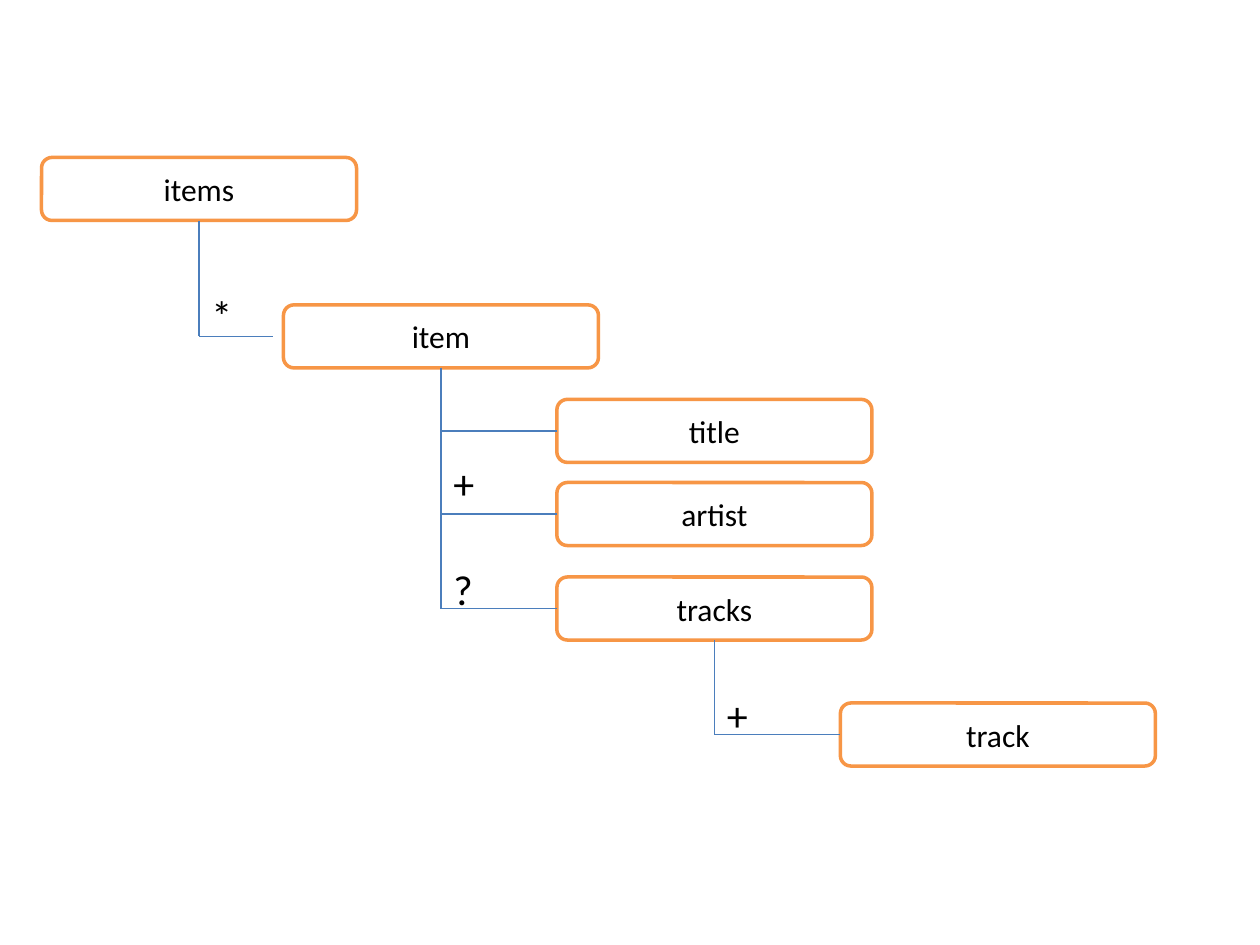
from pptx import Presentation
from pptx.dml.color import RGBColor
from pptx.enum.shapes import MSO_CONNECTOR as CONNECTOR, MSO_SHAPE as SHAPE
from pptx.enum.text import MSO_ANCHOR as ANCHOR, MSO_AUTO_SIZE as AUTO_SIZE, PP_ALIGN as ALIGN
from pptx.oxml.ns import qn
from pptx.util import Inches, Pt
from lxml import etree

NODE_WIDTH, NODE_HEIGHT = 2.5, 0.5
# name: left, top
NODES = {
    "items": (0.33, 1.25),
    "item": (2.25, 2.42),
    "title": (4.42, 3.17),
    "artist": (4.42, 3.83),
    "tracks": (4.42, 4.58),
    "track": (6.67, 5.58),
}
# parent, children, gap before the child node
BRANCHES = [
    ("items", ["item"], 0.08),
    ("item", ["title", "artist", "tracks"], 0),
    ("tracks", ["track"], 0),
]
# parent, mark, top
MARKS = [("items", "*", 2.25), ("item", "+", 3.58), ("item", "?", 4.42), ("tracks", "+", 5.42)]


def color(value):
    """Turn a hex string into a colour."""
    return RGBColor.from_string(value)


def style_text(frame, text, size):
    """Write one line of black Calibri into a text frame."""
    frame.text = text
    font = frame.paragraphs[0].runs[0].font
    font.name, font.size = "Calibri", Pt(size)
    font.color.rgb = color("000000")


def stem_x(name):
    """Return the x position of the line below a node."""
    return NODES[name][0] + NODE_WIDTH / 2


def middle_y(name):
    """Return the y position of a node's centre."""
    return NODES[name][1] + NODE_HEIGHT / 2


def add_node(page, name, left, top):
    """Draw a rounded element box at the given place."""
    box = page.shapes.add_shape(SHAPE.ROUNDED_RECTANGLE, Inches(left), Inches(top),
                                Inches(NODE_WIDTH), Inches(NODE_HEIGHT))
    box.shadow.inherit = False
    box.fill.solid()
    box.fill.fore_color.rgb = color("FFFFFF")
    box.line.color.rgb = color("F79646")
    box.line.width = Pt(2)
    style_text(box.text_frame, name, 18)
    box.text_frame.vertical_anchor = ANCHOR.MIDDLE
    box.text_frame.paragraphs[0].alignment = ALIGN.CENTER


def add_line(page, x1, y1, x2, y2):
    """Draw a thin blue line between two points."""
    line = page.shapes.add_connector(CONNECTOR.STRAIGHT, Inches(x1), Inches(y1),
                                     Inches(x2), Inches(y2))
    line.line.color.rgb = color("4B7EBC")
    line.line.width = Pt(0.75)
    etree.SubElement(line._element.spPr, qn("a:effectLst"))


def add_branch(page, parent, children, gap):
    """Draw the stem below a parent and an arm to each child."""
    x = stem_x(parent)
    add_line(page, x, NODES[parent][1] + NODE_HEIGHT, x, middle_y(children[-1]))
    for child in children:
        y = middle_y(child)
        add_line(page, x, y, NODES[child][0] - gap, y)


def add_mark(page, parent, mark, top):
    """Write an occurrence mark to the right of a parent's stem."""
    box = page.shapes.add_textbox(Inches(stem_x(parent)), Inches(top), Inches(0.33), Inches(0.5))
    box.text_frame.word_wrap = True
    box.text_frame.auto_size = AUTO_SIZE.SHAPE_TO_FIT_TEXT
    style_text(box.text_frame, mark, 24)


def add_tree(page):
    """Draw the whole element tree."""
    for name, (left, top) in NODES.items():
        add_node(page, name, left, top)
    for branch in BRANCHES:
        add_branch(page, *branch)
    for mark in MARKS:
        add_mark(page, *mark)


deck = Presentation()
deck.slide_width, deck.slide_height = Inches(10), Inches(7.5)
add_tree(deck.slides.add_slide(deck.slide_layouts[6]))
deck.save("out.pptx")
